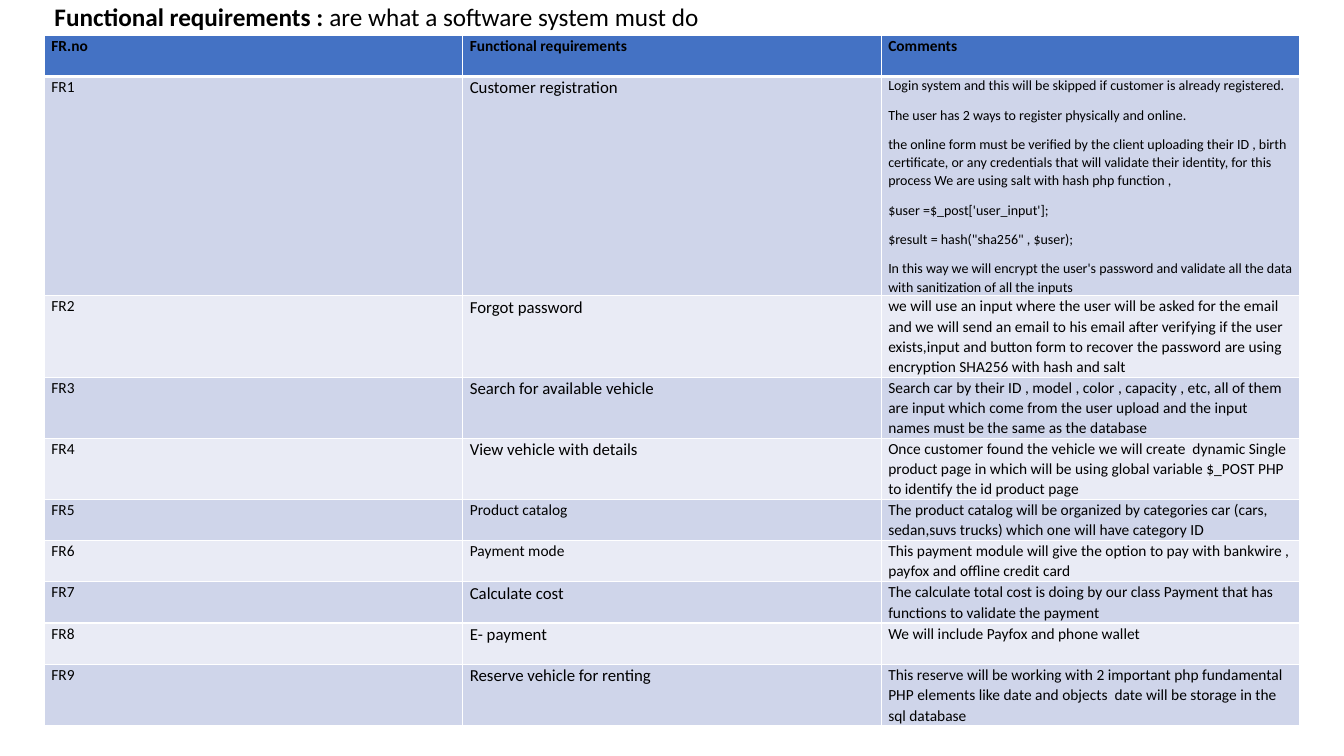
from dataclasses import dataclass

from lxml.etree import SubElement
from pptx import Presentation
from pptx.dml.color import RGBColor
from pptx.enum.text import MSO_ANCHOR, MSO_AUTO_SIZE, PP_ALIGN
from pptx.oxml.ns import qn
from pptx.slide import Slide
from pptx.table import _Cell as Cell
from pptx.text.text import _Paragraph as Paragraph
from pptx.util import Inches, Pt


@dataclass(frozen=True)
class Theme:
    font: str = "Calibri"
    text: str = "000000"
    border: str = "FFFFFF"
    header: str = "4472C4"
    bands: tuple[str, str] = ("CFD5EA", "E9EBF5")
    title_size: int = 18
    name_size: int = 12
    body_size: int = 11
    small_size: int = 10
    border_width: int = 1
    header_rule_width: int = 3


@dataclass(frozen=True)
class Requirement:
    name: str
    comments: tuple[str, ...]
    name_size: int = Theme.name_size
    comment_size: int = Theme.body_size


THEME = Theme()
COLUMN_WIDTH, ROW_HEIGHT = Inches(4.15), Inches(0.41)
HEADINGS = ("FR.no", "Functional requirements", "Comments")
REQUIREMENTS = (
    Requirement("Customer registration", (
        "Login system and this will be skipped if customer is already registered.",
        "The user has 2 ways to register physically and online.",
        "the online form must be verified by the client uploading their ID , birth certificate, "
        "or any credentials that will validate their identity, for this process We are using "
        "salt with hash php function ,",
        "$user =$_post['user_input'];",
        '$result = hash("sha256" , $user);',
        "In this way we will encrypt the user's password and validate all the data with "
        "sanitization of all the inputs",
    ), comment_size=THEME.small_size),
    Requirement("Forgot password", (
        "we will use an input where the user will be asked for the email and we will send an "
        "email to his email after verifying if the user exists,input and button form to recover "
        "the password are using encryption SHA256 with hash and salt",)),
    Requirement("Search for available vehicle", (
        "Search car by their ID , model , color , capacity , etc, all of them are input which "
        "come from the user upload and the input names must be the same as the database",)),
    Requirement("View vehicle with details", (
        "Once customer found the vehicle we will create  dynamic Single product page in which "
        "will be using global variable $_POST PHP to identify the id product page",)),
    Requirement("Product catalog", (
        "The product catalog will be organized by categories car (cars, sedan,suvs trucks) "
        "which one will have category ID",), name_size=THEME.body_size),
    Requirement("Payment mode", (
        "This payment module will give the option to pay with bankwire , payfox and offline "
        "credit card",), name_size=THEME.body_size),
    Requirement("Calculate cost", (
        "The calculate total cost is doing by our class Payment that has functions to validate "
        "the payment",)),
    Requirement("E- payment", ("We will include Payfox and phone wallet",)),
    Requirement("Reserve vehicle for renting", (
        "This reserve will be working with 2 important php fundamental PHP elements like date "
        "and objects  date will be storage in the sql database",)),
)


def add_run(paragraph: Paragraph, text: str, size: int, bold: bool = False) -> None:
    run = paragraph.add_run()
    run.text = text
    run.font.name = THEME.font
    run.font.size = Pt(size)
    run.font.bold = bold
    run.font.color.rgb = RGBColor.from_string(THEME.text)


def set_borders(cell: Cell, top: int, bottom: int) -> None:
    """Draw all four cell borders; must run before the cell gets its fill."""
    side = THEME.border_width
    properties = cell._tc.get_or_add_tcPr()
    for tag, width in (("a:lnL", side), ("a:lnR", side), ("a:lnT", top), ("a:lnB", bottom)):
        line = SubElement(properties, qn(tag), w=str(Pt(width)))
        fill = SubElement(line, qn("a:solidFill"))
        SubElement(fill, qn("a:srgbClr"), val=THEME.border)


def fill_cell(cell: Cell, texts: tuple[str, ...], size: int, fill: str, bold: bool = False) -> None:
    cell.margin_left = cell.margin_right = Inches(0.07)
    cell.margin_top = cell.margin_bottom = 0
    cell.fill.solid()
    cell.fill.fore_color.rgb = RGBColor.from_string(fill)
    frame = cell.text_frame
    for index, text in enumerate(texts):
        paragraph = frame.add_paragraph() if index else frame.paragraphs[0]
        paragraph.line_spacing = 1.07
        paragraph.space_after = Pt(8)
        add_run(paragraph, text, size, bold)


def add_title(slide: Slide) -> None:
    title = slide.shapes.title
    title.left, title.top = Inches(0.44), Inches(0.08)
    title.width, title.height = Inches(9.81), Inches(0.21)
    frame = title.text_frame
    frame.auto_size = MSO_AUTO_SIZE.NONE
    frame.vertical_anchor = MSO_ANCHOR.MIDDLE
    paragraph = frame.paragraphs[0]
    paragraph.alignment = PP_ALIGN.LEFT
    paragraph.line_spacing = 0.9
    add_run(paragraph, "Functional requirements : ", THEME.title_size, bold=True)
    add_run(paragraph, "are what a software system must do", THEME.title_size)


def add_requirements_table(slide: Slide) -> None:
    height = Inches(6.7)
    graphic_frame = slide.shapes.add_table(
        len(REQUIREMENTS) + 1, len(HEADINGS),
        Inches(0.44), Inches(0.35), COLUMN_WIDTH * len(HEADINGS), height)
    table = graphic_frame.table
    for row_index, row in enumerate(table.rows):
        row.height = ROW_HEIGHT
        top = THEME.header_rule_width if row_index == 1 else THEME.border_width
        bottom = THEME.header_rule_width if row_index == 0 else THEME.border_width
        for cell in row.cells:
            set_borders(cell, top, bottom)
    graphic_frame.height = height

    for column, heading in enumerate(HEADINGS):
        fill_cell(table.cell(0, column), (heading,), THEME.body_size, THEME.header, bold=True)
    for number, requirement in enumerate(REQUIREMENTS, start=1):
        band = THEME.bands[(number - 1) % 2]
        fill_cell(table.cell(number, 0), (f"FR{number}",), THEME.body_size, band)
        fill_cell(table.cell(number, 1), (requirement.name,), requirement.name_size, band)
        fill_cell(table.cell(number, 2), requirement.comments, requirement.comment_size, band)


def main() -> None:
    presentation = Presentation()
    presentation.slide_width, presentation.slide_height = Inches(13.33), Inches(7.5)
    title_only = presentation.slide_layouts[5]
    slide = presentation.slides.add_slide(title_only)
    add_title(slide)
    add_requirements_table(slide)
    presentation.save("out.pptx")


if __name__ == "__main__":
    main()
